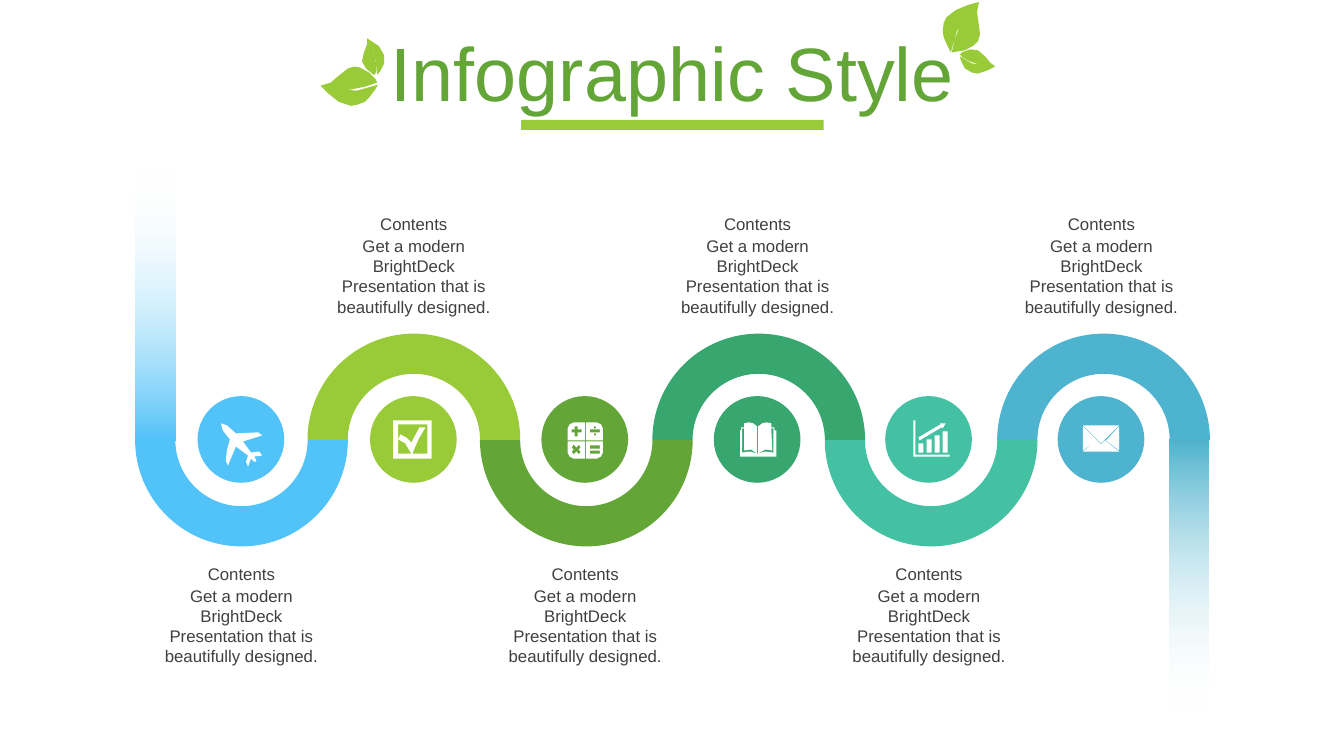
from lxml import etree
from pptx import Presentation
from pptx.dml.color import RGBColor
from pptx.enum.shapes import MSO_SHAPE
from pptx.enum.text import MSO_ANCHOR, MSO_AUTO_SIZE, PP_ALIGN
from pptx.oxml.ns import qn
from pptx.util import Pt

PX = 9144  # EMU in one px, 100 px to the inch
RECT, OVAL, ARC = MSO_SHAPE.RECTANGLE, MSO_SHAPE.OVAL, MSO_SHAPE.BLOCK_ARC
CENTER, MIDDLE, NO_FIT = PP_ALIGN.CENTER, MSO_ANCHOR.MIDDLE, MSO_AUTO_SIZE.NONE
TITLE_ONLY = 5
FONT = "Arial"
COLORS = {
    "sky": "51C3F9", "lime": "99CB38", "leaf": "63A537", "green": "37A76F",
    "mint": "44C1A3", "teal": "4EB3CF", "white": "FFFFFF", "text": "404040",
}
STEPS = ["sky", "lime", "leaf", "green", "mint", "teal"]
PITCH = 170.6
HEADING = "Contents"
BODY = "Get a modern BrightDeck Presentation that is beautifully designed."


def box(left, top, right, bottom):
    return [(left, top), (right, top), (right, bottom), (left, bottom)]


LEAVES = [
    [(943, 52), (949, 31), (961, 13), (960, 14), (952, 26), (947, 39), (944, 52),
     (957, 50), (966, 45), (970, 41), (972, 34), (971, 26), (969, 12), (971, 2),
     (960, 5), (948, 10), (939, 17), (936, 23), (935, 31), (936, 37), (940, 46)],
    [(978, 65), (964, 63), (952, 56), (953, 60), (957, 68), (964, 72), (970, 73),
     (979, 70), (987, 66), (982, 62), (977, 56), (970, 50), (962, 49), (954, 52),
     (952, 54), (955, 57), (962, 61), (971, 64)],
    [(375, 84), (354, 90), (332, 88), (347, 89), (362, 86), (374, 82), (373, 79),
     (366, 72), (357, 67), (351, 66), (345, 68), (335, 76), (328, 82), (318, 85),
     (326, 93), (336, 101), (348, 105), (354, 104), (362, 101), (366, 97), (372, 89)],
    [(368, 46), (373, 60), (374, 74), (377, 71), (381, 63), (381, 55), (376, 46),
     (367, 40), (364, 38), (364, 44), (361, 52), (359, 61), (363, 68), (370, 74),
     (372, 74), (373, 71), (373, 63), (371, 53)],
]
PLANE = [
    [(260, 452), (252, 453), (254, 456), (254, 458), (252, 458), (249, 455),
     (246, 463), (244, 458), (246, 452), (234, 443), (226, 462), (224, 457),
     (225, 447), (228, 436), (221, 427), (219, 420), (225, 422), (234, 430),
     (256, 429), (260, 432), (241, 438), (249, 449), (257, 448)],
]
CHECK = [
    box(390, 417, 428, 455),
    box(395, 421, 424, 450),
    [(395, 436), (397, 431), (403, 434), (408, 439), (416, 424), (422, 424),
     (415, 436), (409, 450), (408, 450), (402, 440)],
]
CALCULATOR = [
    [(580, 437), (563, 437), (563, 425), (565, 421), (569, 419), (580, 419)],
    [(581, 437), (581, 419), (592, 419), (596, 421), (598, 425), (598, 437)],
    [(580, 438), (580, 455), (569, 455), (565, 453), (563, 449), (563, 438)],
    [(581, 438), (598, 438), (598, 449), (596, 453), (592, 455), (581, 455)],
    [(570, 423), (573, 423), (573, 426), (577, 426), (577, 429), (573, 429),
     (573, 433), (570, 433), (570, 429), (567, 429), (567, 426), (570, 426)],
    box(585, 426, 595, 429),
    box(589, 423, 591, 425),
    box(589, 430, 591, 432),
    [(569, 441), (567, 444), (569, 446), (567, 448), (569, 451), (572, 448),
     (574, 451), (576, 448), (574, 446), (576, 444), (574, 441), (572, 444)],
    box(585, 442, 595, 445),
    box(585, 447, 595, 450),
]
BOOK = [
    [(751, 450), (752, 450), (759, 448), (767, 449), (767, 425), (765, 425),
     (766, 447), (759, 446), (752, 450), (752, 423), (756, 420), (760, 419),
     (765, 420), (765, 424), (768, 424), (768, 427), (770, 427), (770, 453),
     (734, 453), (734, 427), (735, 427), (735, 424), (738, 424), (738, 420),
     (743, 419), (747, 420), (751, 423), (751, 450), (745, 446), (738, 447),
     (738, 425), (736, 425), (736, 449), (744, 448)],
]
CHART = [
    *[box(911 + 8 * i, 440 - 4 * i, 916 + 8 * i, 449) for i in range(4)],
    [(932, 420), (938, 420), (935, 425), (934, 424), (912, 437), (911, 434), (933, 421)],
    [(906, 417), (908, 417), (908, 451), (942, 451), (942, 453), (906, 453)],
]
ENVELOPE = [
    [(1096, 437), (1110, 448), (1074, 448), (1088, 437), (1092, 441)],
    [(1110, 423), (1110, 447), (1097, 437)],
    [(1074, 423), (1088, 437), (1074, 447)],
    [(1074, 422), (1110, 422), (1092, 440)],
]
ICONS = [PLANE, CHECK, CALCULATOR, BOOK, CHART, ENVELOPE]


def paint(sp, color):
    sp.shadow.inherit = False
    sp.fill.solid()
    sp.fill.fore_color.rgb = RGBColor.from_string(COLORS[color])
    sp.line.fill.background()


def add_block(slide, kind, left, top, width, height, color):
    sp = slide.shapes.add_shape(kind, left * PX, top * PX, width * PX, height * PX)
    paint(sp, color)
    return sp


def add_outline(slide, contours, color):
    """Draw closed contours as one shape; inner contours become holes."""
    builder = slide.shapes.build_freeform(*contours[0][0], scale=PX)
    builder.add_line_segments(contours[0][1:], close=True)
    for contour in contours[1:]:
        builder.move_to(*contour[0])
        builder.add_line_segments(contour[1:], close=True)
    paint(builder.convert_to_shape(), color)


def add_fading_bar(slide, left, top, width, color, angle):
    """Fade from the colour to clear white; the angle runs counter-clockwise."""
    sp = add_block(slide, RECT, left, top, width, 269, color)
    sp.fill.gradient()
    sp.fill.gradient_angle = angle
    for stop, name in zip(sp.fill.gradient_stops, (color, "white")):
        stop.color.rgb = RGBColor.from_string(COLORS[name])
    clear = list(sp.element.iter(qn("a:srgbClr")))[-1]
    etree.SubElement(clear, qn("a:alpha"), val="0")


def write(tf, text, size, color):
    tf.word_wrap = True
    tf.text = text
    p = tf.paragraphs[0]
    p.alignment = CENTER
    font = p.runs[0].font
    font.name, font.size = FONT, Pt(size)
    font.color.rgb = RGBColor.from_string(COLORS[color])
    return p


def add_title(slide):
    sp = slide.shapes.title
    sp.left, sp.top, sp.width, sp.height = 34 * PX, 37 * PX, 1266 * PX, 79 * PX
    tf = sp.text_frame
    p = write(tf, "Infographic Style", 54, "leaf")
    p.line_spacing, p.space_before = 0.9, Pt(10)
    tf.vertical_anchor, tf.auto_size = MIDDLE, NO_FIT


def add_label(slide, left, top, height, text):
    sp = slide.shapes.add_textbox(left * PX, top * PX, 187 * PX, height * PX)
    write(sp.text_frame, text, 12, "text")


def add_arc(slide, i, color):
    sp = add_block(slide, ARC, 134 + 171 * i, 331, 211, 211, color)
    sp.rotation = 0 if i % 2 else 180
    for n, value in enumerate((108, 0, 0.189)):
        sp.adjustments[n] = value


def main():
    prs = Presentation()
    prs.slide_width, prs.slide_height = 1333 * PX, 750 * PX
    slide = prs.slides.add_slide(prs.slide_layouts[TITLE_ONLY])
    for leaf in LEAVES:
        add_outline(slide, [leaf], "lime")
    add_block(slide, RECT, 517, 119, 300, 10, "lime")
    add_title(slide)
    for i, color in enumerate(STEPS):
        add_arc(slide, i, color)
    add_fading_bar(slide, 134, 168, 40, "sky", 90)
    add_fading_bar(slide, 1160, 436, 39, "teal", 270)
    for i, (color, icon) in enumerate(zip(STEPS, ICONS)):
        shift = round(PITCH * i)
        add_block(slide, OVAL, 196 + shift, 393, 86, 86, color)
        add_outline(slide, icon, "white")
        top = 207 if i % 2 else 554
        add_label(slide, 146 + shift, top, 30, HEADING)
        add_label(slide, 146 + shift, top + 22, 91, BODY)
    prs.save("out.pptx")


if __name__ == "__main__":
    main()
